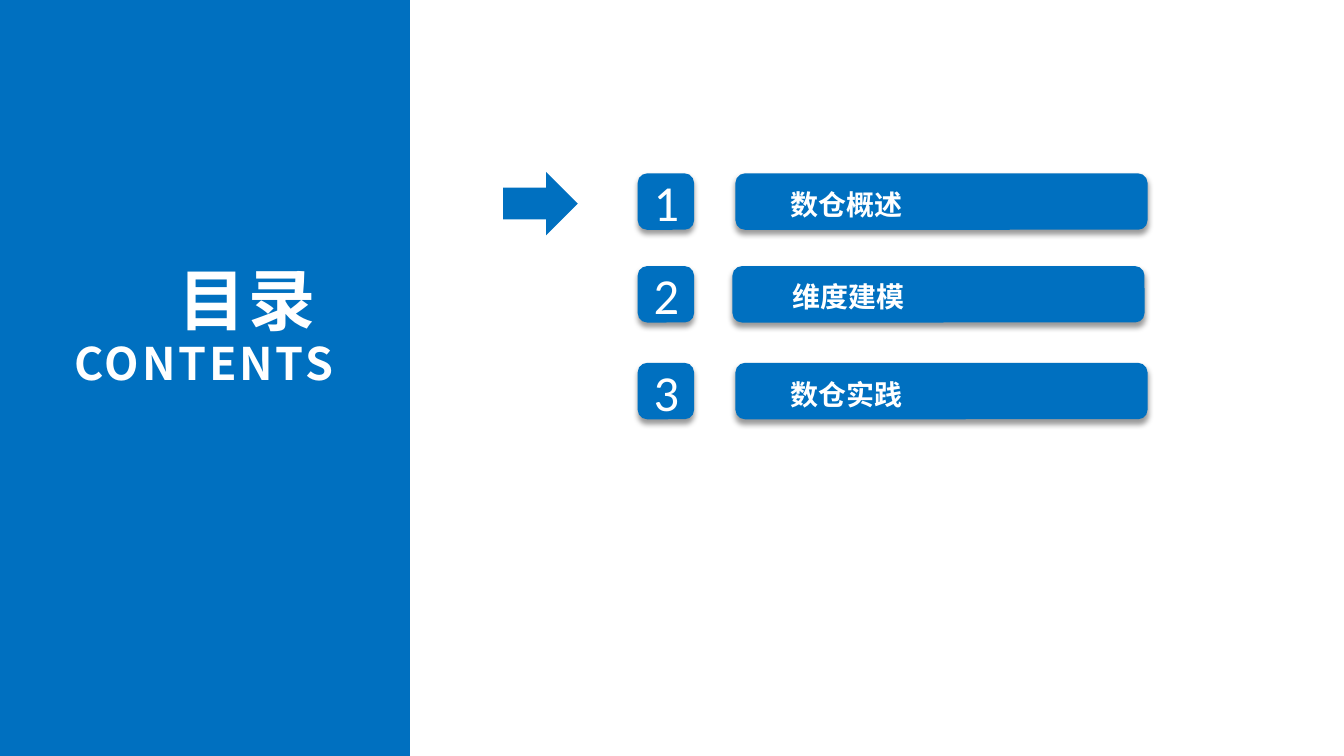
from lxml import etree
from pptx import Presentation
from pptx import util as u
from pptx.dml.color import RGBColor
from pptx.enum import shapes, text
from pptx.oxml import ns

PX = 9144  # EMU per px, 100 px to the inch
COLORS = {"blue": "0070C0", "white": "FFFFFF", "shadow": "000000"}
CJK_FONT = "Noto Sans CJK SC"
NUMBER_FONT = "Calibri"

# Chapter name, row top, bar left, label left, label top, label width
CHAPTERS = [
    ("数仓概述", 172, 730, 772, 177, 290),
    ("维度建模", 264, 727, 774, 268, 290),
    ("数仓实践", 360, 730, 772, 365, 299),
]


def px(*lengths):
    return [u.Emu(length * PX) for length in lengths]


def add_block(parent, kind, area, shadow=False):
    """Add a borderless blue shape, with a soft shadow below if asked."""
    block = parent.add_shape(kind, *px(*area))
    block.fill.solid()
    block.fill.fore_color.rgb = RGBColor.from_string(COLORS["blue"])
    block.line.fill.background()
    block.shadow.inherit = False
    if shadow:
        effects = block.element.spPr.find(ns.qn("a:effectLst"))
        outer = etree.SubElement(
            effects, ns.qn("a:outerShdw"), blurRad=str(u.Pt(4)),
            dist=str(u.Pt(3)), dir="5400000", algn="t", rotWithShape="0")
        color = etree.SubElement(outer, ns.qn("a:srgbClr"), val=COLORS["shadow"])
        etree.SubElement(color, ns.qn("a:alpha"), val="40000")
    return block


def set_frame(box, anchor):
    frame = box.text_frame
    frame.word_wrap = True
    frame.auto_size = text.MSO_AUTO_SIZE.NONE
    frame.vertical_anchor = anchor
    frame.margin_left, frame.margin_right = px(13, 13)
    frame.margin_top, frame.margin_bottom = px(7, 7)
    return frame


def format_para(para, size, font, align, bold=False, line=None, tracking=None):
    para.alignment = align
    if line:
        para.line_spacing = u.Pt(line)
    for span in para.runs:
        span.font.size = u.Pt(size)
        span.font.bold = bold
        span.font.name = font
        span.font.color.rgb = RGBColor.from_string(COLORS["white"])
        properties = span.font._element
        latin = properties.find(ns.qn("a:latin"))
        latin.addnext(properties.makeelement(ns.qn("a:ea"), {"typeface": font}))
        if tracking:
            properties.set("spc", str(tracking * 100))


def add_heading(page):
    panel = add_block(page.shapes, shapes.MSO_SHAPE.RECTANGLE, (0, 0, 407, 750))
    title = page.shapes.title
    title.element.addprevious(panel.element)  # keep the panel behind the title
    title.left, title.top, title.width, title.height = px(37, 243, 307, 148)
    frame = set_frame(title, text.MSO_ANCHOR.TOP)
    frame.text = "目录 \nCONTENTS"
    for para, size, line in zip(frame.paragraphs, (48, 32), (62, 36)):
        format_para(para, size, CJK_FONT, text.PP_ALIGN.RIGHT, True, line, 2)


def add_chapter(page, number, name, top, bar_left, label_left, label_top, label_width):
    rounded = shapes.MSO_SHAPE.ROUNDED_RECTANGLE
    # Number tile
    tile = add_block(page.shapes, rounded, (633, top, 56, 56), shadow=True)
    frame = set_frame(tile, text.MSO_ANCHOR.MIDDLE)
    frame.text = str(number)
    format_para(frame.paragraphs[0], 36, NUMBER_FONT, text.PP_ALIGN.CENTER)

    # Bar with its label
    group = page.shapes.add_group_shape()
    add_block(group.shapes, rounded, (bar_left, top, 409, 56), shadow=True)
    label = group.shapes.add_textbox(*px(label_left, label_top, label_width, 47))
    frame = set_frame(label, text.MSO_ANCHOR.TOP)
    frame.text = name
    format_para(frame.paragraphs[0], 20, CJK_FONT, text.PP_ALIGN.LEFT, True, 25.6)


def main():
    deck = Presentation()
    deck.slide_width, deck.slide_height = px(1334, 750)
    page = deck.slides.add_slide(deck.slide_layouts.get_by_name("Title Only"))

    add_heading(page)
    for number, chapter in enumerate(CHAPTERS, 1):
        add_chapter(page, number, *chapter)

    # Arrow that marks the current chapter
    arrow = add_block(page.shapes, shapes.MSO_SHAPE.DOWN_ARROW, (505, 165, 63, 74))
    arrow.rotation = 270

    deck.save("out.pptx")


if __name__ == "__main__":
    main()
